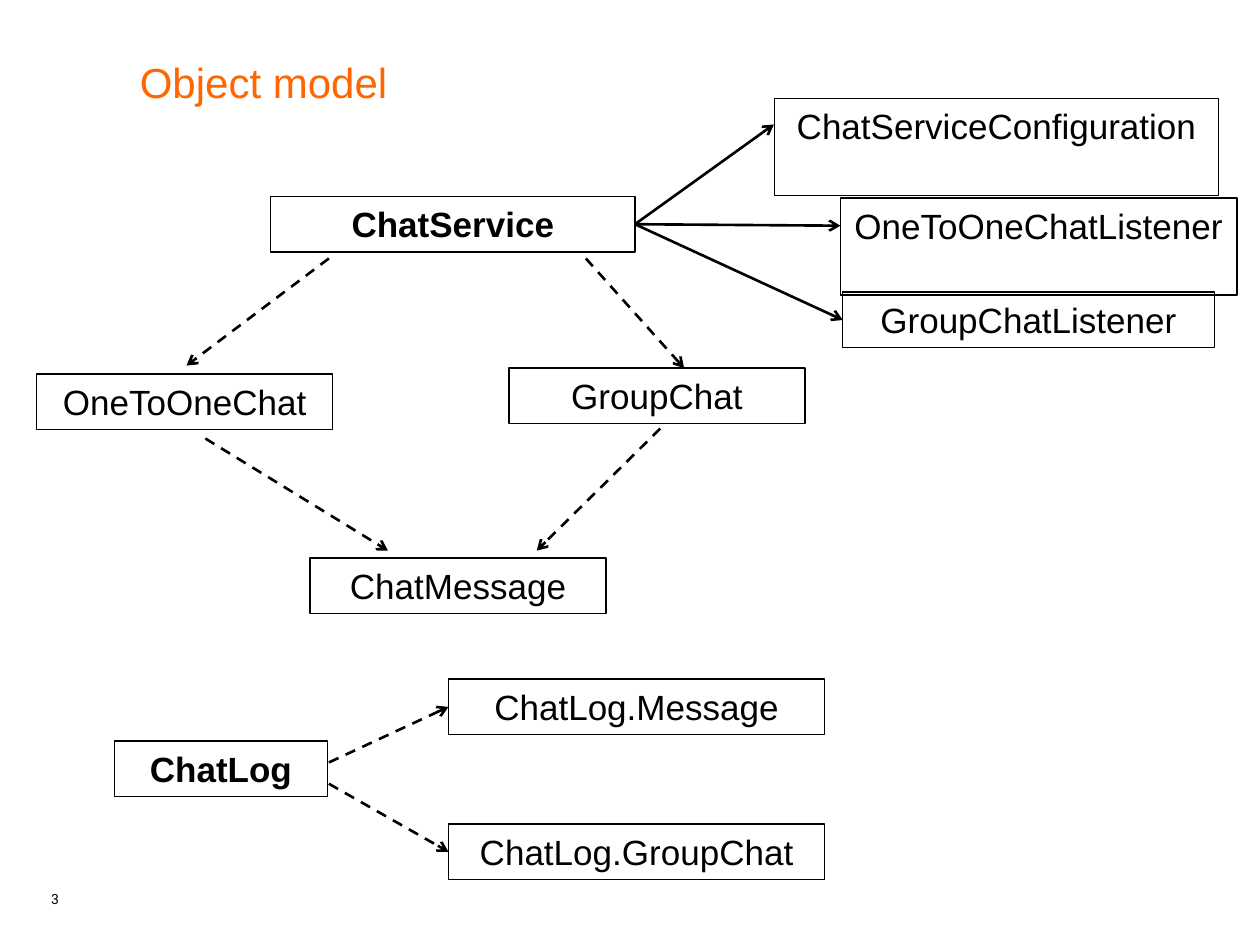
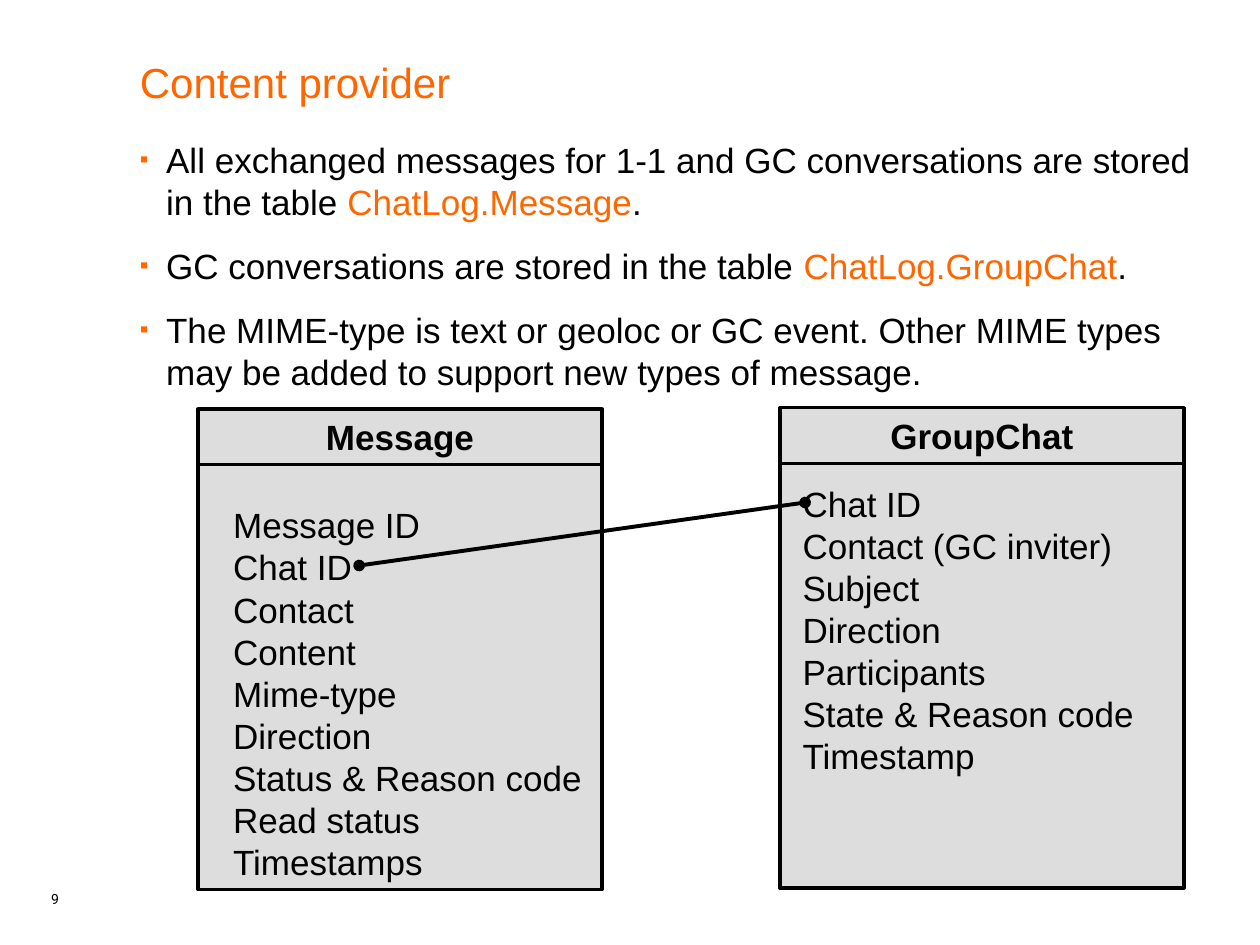
"""Build two slides on a chat API: its object model and its content provider."""
from lxml import etree
from pptx import Presentation
from pptx.dml.color import RGBColor
from pptx.enum.dml import MSO_LINE
from pptx.enum.shapes import MSO_CONNECTOR, MSO_SHAPE
from pptx.enum.text import MSO_ANCHOR, PP_ALIGN
from pptx.oxml.ns import qn
from pptx.util import Cm, Pt

STRAIGHT = MSO_CONNECTOR.STRAIGHT
RECTANGLE = MSO_SHAPE.RECTANGLE
DASH = MSO_LINE.DASH
TOP = MSO_ANCHOR.TOP
LEFT, CENTER = PP_ALIGN.LEFT, PP_ALIGN.CENTER

ORANGE = RGBColor(0xFF, 0x66, 0x00)
BLACK = RGBColor(0x00, 0x00, 0x00)
GREY = RGBColor(0xDD, 0xDD, 0xDD)
BODY_FONT, NUMBER_FONT = "Arial", "Roboto"
BODY_SIZE = 20
MARGIN_X, MARGIN_Y = 0.25, 0.13
TEXT_LEFT = 2.82
ROW, TALL_ROW = 1.12, 1.96
LEFT_SIDE, RIGHT_SIDE = 1, 3

MODEL_TITLE, MODEL_NUMBER = "Object model", "3"
MAIN_CLASSES = ("ChatService", "ChatLog")
CLASSES = {
    "ChatService": (5.46, 3.96, 7.34, ROW),
    "OneToOneChat": (0.74, 7.54, 5.97, ROW),
    "GroupChat": (10.26, 7.42, 5.97, ROW),
    "ChatMessage": (6.25, 11.25, 5.97, ROW),
    "ChatLog": (2.31, 14.94, 4.29, ROW),
    "ChatLog.Message": (9.04, 13.69, 7.59, ROW),
    "ChatLog.GroupChat": (9.04, 16.61, 7.59, ROW),
    "ChatServiceConfiguration": (15.62, 1.98, 8.94, TALL_ROW),
    "OneToOneChatListener": (16.94, 3.99, 8.0, TALL_ROW),
    "GroupChatListener": (16.99, 5.89, 7.49, ROW),
}
DASHED_ARROWS = [
    ((6.63, 5.21), (3.76, 7.37), None),
    ((11.81, 5.21), (13.79, 7.42), None),
    ((13.31, 8.64), (10.82, 11.1), None),
    ((4.14, 8.84), (7.82, 11.1), None),
    ((6.63, 15.37), (9.04, 14.25), "ChatLog.Message"),
    ((6.63, 15.8), (9.04, 17.17), "ChatLog.GroupChat"),
]
SERVICE_ARROWS = [
    ((15.6, 2.51), None),
    ((16.94, 4.55), None),
    ((16.99, 6.45), "GroupChatListener"),
]

PROVIDER_TITLE, PROVIDER_NUMBER = "Content provider", "9"
BULLETS = [
    [("All exchanged messages for 1-1 and GC conversations are stored in the table ", BLACK),
     ("ChatLog.Message", ORANGE), (".", BLACK)],
    [("GC conversations are stored in the table ", BLACK),
     ("ChatLog.GroupChat", ORANGE), (".", BLACK)],
    [("The MIME-type is text or geoloc or GC event. Other MIME types may be added "
      "to support new types of message.", BLACK)],
]
ENTITY_WIDTH, ENTITY_HEIGHT = 8.15, 9.68
ENTITIES = [
    ("Message", (3.99, 8.25), (4.45, 10.03, 7.67),
     ["Message ID", "Chat ID", "Contact", "Content", "Mime-type", "Direction",
      "Status & Reason code", "Read status", "Timestamps"]),
    ("GroupChat", (15.72, 8.22), (15.93, 9.6, 7.32),
     ["Chat ID", "Contact (GC inviter)", "Subject", "Direction", "Participants",
      "State & Reason code", "Timestamp"]),
]
CHAT_ID_LINK = ((7.24, 11.4), (16.23, 10.13))


def style_run(run, size=BODY_SIZE, color=BLACK, bold=False, font=BODY_FONT):
    run.font.name, run.font.size, run.font.bold = font, Pt(size), bold
    run.font.color.rgb = color


def set_frame(frame, margin_x=MARGIN_X, margin_y=MARGIN_Y):
    frame.word_wrap = True
    frame.vertical_anchor = TOP
    frame.margin_left = frame.margin_right = Cm(margin_x)
    frame.margin_top = frame.margin_bottom = Cm(margin_y)


def fill_frame(frame, text, align=LEFT, **style):
    frame.text = text
    for paragraph in frame.paragraphs:
        paragraph.alignment = align
        for run in paragraph.runs:
            style_run(run, **style)


def add_text(slide, place, text, margins=(MARGIN_X, MARGIN_Y), **style):
    frame = slide.shapes.add_textbox(*map(Cm, place)).text_frame
    set_frame(frame, *margins)
    fill_frame(frame, text, **style)


def add_box(slide, place, text="", fill=None, line_width=0.75, bold=False):
    box = slide.shapes.add_shape(RECTANGLE, *map(Cm, place))
    box.shadow.inherit = False
    if fill is None:
        box.fill.background()
    else:
        box.fill.solid()
        box.fill.fore_color.rgb = fill
    box.line.color.rgb = BLACK
    box.line.width = Pt(line_width)
    if text:
        set_frame(box.text_frame)
        fill_frame(box.text_frame, text, align=CENTER, bold=bold)
    return box


def add_line(slide, start, end, width=1.5, dash=None, head=None, tail="arrow"):
    line = slide.shapes.add_connector(STRAIGHT, *map(Cm, start + end))
    line.line.color.rgb = BLACK
    line.line.width = Pt(width)
    if dash is not None:
        line.line.dash_style = dash
    outline = line.line._get_or_add_ln()
    for tag, kind in (("a:headEnd", head), ("a:tailEnd", tail)):
        if kind:
            etree.SubElement(outline, qn(tag), type=kind)
    etree.SubElement(line._element.spPr, qn("a:effectLst"))
    return line


def add_bullets(slide, place, items):
    frame = slide.shapes.add_textbox(*map(Cm, place)).text_frame
    set_frame(frame, 0, 0)
    for index, parts in enumerate(items):
        paragraph = frame.add_paragraph() if index else frame.paragraphs[0]
        paragraph.space_after = Pt(12.5)
        properties = paragraph._p.get_or_add_pPr()
        properties.set("marL", str(Cm(0.53)))
        properties.set("indent", str(-Cm(0.53)))
        bullet_color = etree.SubElement(properties, qn("a:buClr"))
        etree.SubElement(bullet_color, qn("a:srgbClr"), val=str(ORANGE))
        etree.SubElement(properties, qn("a:buSzPct"), val="70000")
        etree.SubElement(properties, qn("a:buFont"), typeface=BODY_FONT)
        etree.SubElement(properties, qn("a:buChar"), char="▪")
        for text, color in parts:
            run = paragraph.add_run()
            run.text = text
            style_run(run, color=color)


def add_slide(deck, title, number):
    slide = deck.slides.add_slide(deck.slide_layouts[6])
    add_text(slide, (0.08, 17.83, 2.06, 0.61), number, align=CENTER, size=8, font=NUMBER_FONT)
    add_text(slide, (TEXT_LEFT, 1.14, 21.5, 2.74), title, margins=(0, 0), size=24, color=ORANGE)
    return slide


def build_object_model(deck):
    slide = add_slide(deck, MODEL_TITLE, MODEL_NUMBER)
    boxes = {name: add_box(slide, place, name, bold=name in MAIN_CLASSES)
             for name, place in CLASSES.items()}
    for start, end, target in DASHED_ARROWS:
        arrow = add_line(slide, start, end, dash=DASH)
        if target:
            arrow.end_connect(boxes[target], LEFT_SIDE)
    left, top, width, height = CLASSES["ChatService"]
    for end, target in SERVICE_ARROWS:
        arrow = add_line(slide, (left + width, top + height / 2), end)
        arrow.begin_connect(boxes["ChatService"], RIGHT_SIDE)
        if target:
            arrow.end_connect(boxes[target], LEFT_SIDE)


def build_content_provider(deck):
    slide = add_slide(deck, PROVIDER_TITLE, PROVIDER_NUMBER)
    for name, corner, (left, top, width), fields in ENTITIES:
        add_box(slide, corner + (ENTITY_WIDTH, ENTITY_HEIGHT), fill=GREY, line_width=2)
        add_box(slide, corner + (ENTITY_WIDTH, ROW), name, line_width=1.5, bold=True)
        height = len(fields) * 0.85 + 2 * MARGIN_Y
        add_text(slide, (left, top, width, height), "\n".join(fields))
    add_bullets(slide, (TEXT_LEFT, 2.79, 21.82, 6.02), BULLETS)
    add_line(slide, *CHAT_ID_LINK, width=2.25, head="oval", tail="oval")


def main():
    deck = Presentation()
    deck.slide_width, deck.slide_height = Cm(25.4), Cm(19.05)
    build_object_model(deck)
    build_content_provider(deck)
    deck.save("out.pptx")


if __name__ == "__main__":
    main()
